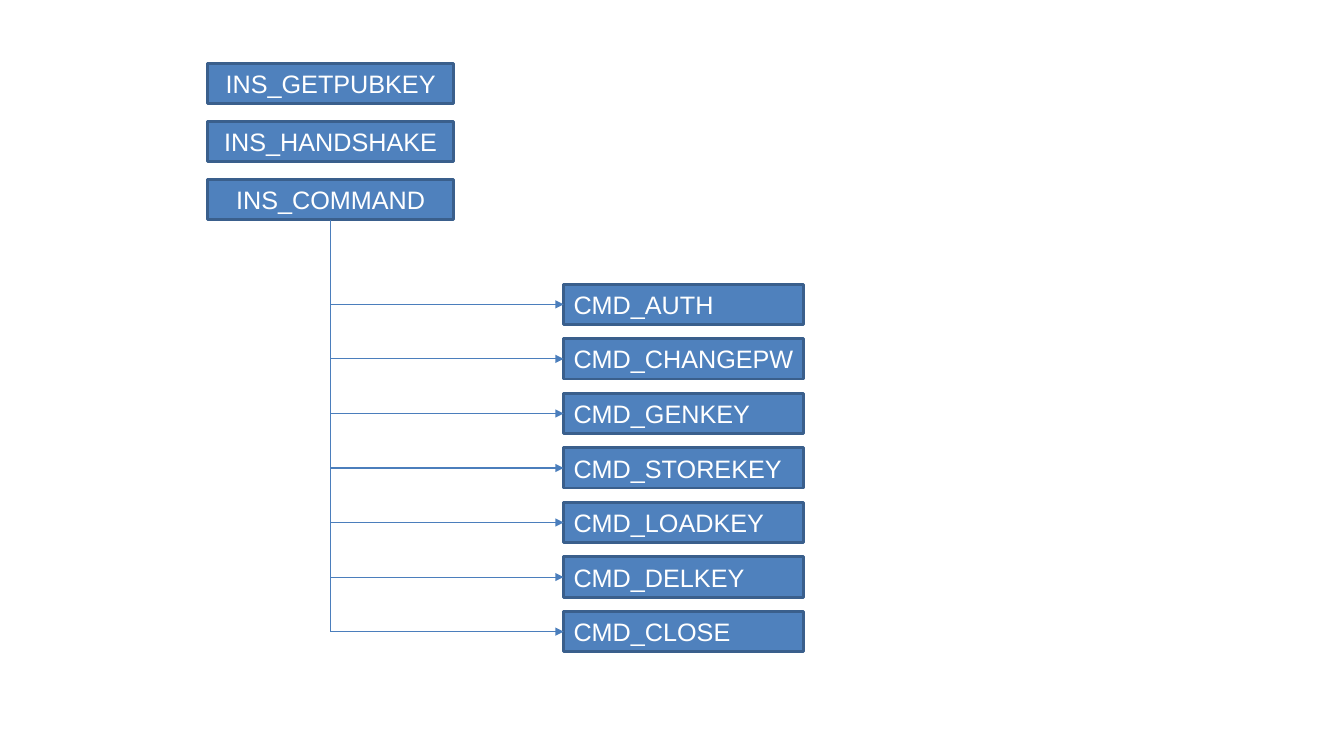
from dataclasses import dataclass

import lxml.etree
import pptx
import pptx.dml.color
import pptx.enum.shapes
import pptx.enum.text
import pptx.oxml.ns
import pptx.util

Inches = pptx.util.Inches
Align = pptx.enum.text.PP_ALIGN


@dataclass(frozen=True)
class Theme:
    box_fill: str = "4F81BD"
    box_border: str = "3A5F8C"
    branch: str = "4B7EBC"
    text: str = "FFFFFF"
    font: str = "Arial"
    text_size: float = 18
    border_width: float = 2
    branch_width: float = 0.75


THEME = Theme()

INSTRUCTIONS = ["INS_GETPUBKEY", "INS_HANDSHAKE", "INS_COMMAND"]
COMMANDS = ["CMD_AUTH", "CMD_CHANGEPW", "CMD_GENKEY", "CMD_STOREKEY",
            "CMD_LOADKEY", "CMD_DELKEY", "CMD_CLOSE"]

# Layout in inches
BOX_HEIGHT = 0.4
INS_LEFT, INS_TOP, INS_WIDTH, INS_PITCH = 2.06, 0.63, 2.44, 0.575
CMD_LEFT, CMD_TOP, CMD_WIDTH, CMD_PITCH = 5.59, 2.82, 2.38, 0.541


def rgb(value):
    return pptx.dml.color.RGBColor.from_string(value)


def add_box(slide, label, left, top, width, alignment):
    box = slide.shapes.add_shape(
        pptx.enum.shapes.MSO_SHAPE.RECTANGLE,
        Inches(left), Inches(top), Inches(width), Inches(BOX_HEIGHT))
    box.shadow.inherit = False
    box.fill.solid()
    box.fill.fore_color.rgb = rgb(THEME.box_fill)
    box.line.color.rgb = rgb(THEME.box_border)
    box.line.width = pptx.util.Pt(THEME.border_width)

    box.text_frame.vertical_anchor = pptx.enum.text.MSO_ANCHOR.MIDDLE
    paragraph = box.text_frame.paragraphs[0]
    paragraph.alignment = alignment
    run = paragraph.add_run()
    run.text = label
    run.font.name = THEME.font
    run.font.size = pptx.util.Pt(THEME.text_size)
    run.font.color.rgb = rgb(THEME.text)


def add_stack(slide, labels, left, top, width, pitch, alignment):
    """Stack equal boxes and return the vertical middle of each."""
    tops = [top + row * pitch for row in range(len(labels))]
    for label, box_top in zip(labels, tops):
        add_box(slide, label, left, box_top, width, alignment)
    return [box_top + BOX_HEIGHT / 2 for box_top in tops]


def add_branch(slide, start, end, arrow=False):
    branch = slide.shapes.add_connector(
        pptx.enum.shapes.MSO_CONNECTOR.STRAIGHT,
        *(Inches(value) for value in (*start, *end)))
    branch.line.color.rgb = rgb(THEME.branch)
    branch.line.width = pptx.util.Pt(THEME.branch_width)
    qn = pptx.oxml.ns.qn
    if arrow:
        lxml.etree.SubElement(
            branch.line._get_or_add_ln(), qn("a:tailEnd"), type="triangle")
    lxml.etree.SubElement(branch._element.spPr, qn("a:effectLst"))


def main():
    deck = pptx.Presentation()
    deck.slide_width, deck.slide_height = Inches(13.33), Inches(7.5)
    slide = deck.slides.add_slide(deck.slide_layouts[6])

    # Instructions and the commands under the last one
    instruction_middles = add_stack(
        slide, INSTRUCTIONS, INS_LEFT, INS_TOP, INS_WIDTH, INS_PITCH,
        Align.CENTER)
    command_middles = add_stack(
        slide, COMMANDS, CMD_LEFT, CMD_TOP, CMD_WIDTH, CMD_PITCH, Align.LEFT)

    # Trunk and one arrow per command
    trunk_x = INS_LEFT + INS_WIDTH / 2
    trunk_top = instruction_middles[-1] + BOX_HEIGHT / 2
    add_branch(slide, (trunk_x, trunk_top), (trunk_x, command_middles[-1]))
    for middle in command_middles:
        add_branch(slide, (trunk_x, middle), (CMD_LEFT, middle), arrow=True)

    deck.save("out.pptx")


main()
